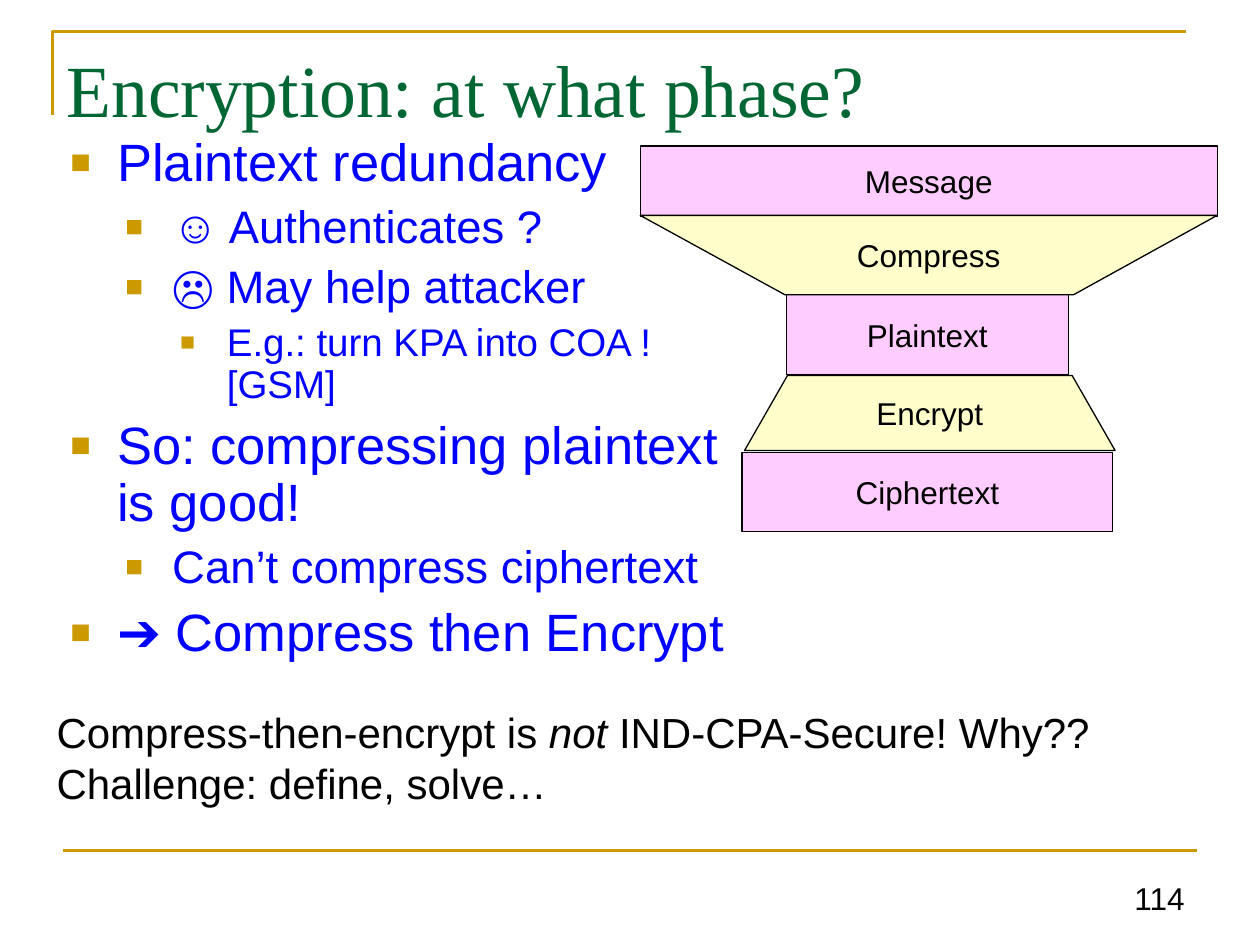
from lxml import etree
from pptx import Presentation
from pptx import util as u
from pptx.dml.color import RGBColor
from pptx.enum import shapes, text
from pptx.oxml.ns import qn

Pt = u.Pt
COLORS = {"gold": "CC9900", "green": "006633", "blue": "0000FF",
          "pink": "FFCCFF", "cream": "FFFFCC", "black": "000000"}

TITLE = "Encryption: at what phase?"
BULLETS = [  # level, text
    (0, "Plaintext redundancy"),
    (1, "☺ Authenticates ?"),
    (1, "☹ May help attacker"),
    (2, "E.g.: turn KPA into COA ! [GSM]"),
    (0, "So: compressing plaintext\nis good!"),
    (1, "Can’t compress ciphertext"),
    (0, "➔ Compress then Encrypt"),
]
LEVELS = [(30, 7.5, 26.8), (26, 6.5, 58.2), (22, 5.5, 89.5)]  # size, space before, indent
HANGING = 26.8
NOTE = [("Compress-then-encrypt is ", False), ("not", True),
        (" IND-CPA-Secure! Why??\nChallenge: define, solve…", False)]
PAGE_NUMBER = "114"
DATA_BOXES = [  # label, left, top, width, height
    ("Message", 365.8, 83.5, 329.8, 40.3),
    ("Plaintext", 449.3, 168.5, 161.3, 45.4),
    ("Ciphertext", 424.1, 258.5, 211.7, 45.4),
]
STEPS = [  # label, top, bottom, (left, right) at top, (left, right) at bottom
    ("Compress", 123.1, 168.5, (365.8, 695.5), (448.6, 613.4)),
    ("Encrypt", 214.6, 257.4, (450, 612.7), (425.5, 637.2)),
]

prs = Presentation()
prs.slide_width, prs.slide_height = Pt(720), Pt(540)
s = prs.slides.add_slide(prs.slide_layouts[6])


def rgb(name):
    return RGBColor.from_string(COLORS[name])


def add_run(p, content, size, color="black", font="Arial", italic=False):
    for i, line in enumerate(content.split("\n")):
        if i:
            p.add_line_break()
        r = p.add_run()
        r.text = line
        r.font.size, r.font.name, r.font.italic = Pt(size), font, italic
        r.font.color.rgb = rgb(color)


def add_text_box(left, top, width, height, anchor=text.MSO_ANCHOR.TOP):
    tf = s.shapes.add_textbox(*map(Pt, (left, top, width, height))).text_frame
    tf.word_wrap = True
    tf.vertical_anchor = anchor
    return tf


def add_outline(points, close):
    points = [(Pt(x), Pt(y)) for x, y in points]
    builder = s.shapes.build_freeform(*points[0])
    builder.add_line_segments(points[1:], close=close)
    sp = builder.convert_to_shape()
    sp.shadow.inherit = False
    return sp


def style_block(sp, label, fill):
    sp.shadow.inherit = False
    sp.fill.solid()
    sp.fill.fore_color.rgb = rgb(fill)
    sp.line.color.rgb = rgb("black")
    sp.line.width = Pt(0.75)
    tf = sp.text_frame
    tf.word_wrap = False
    tf.vertical_anchor = text.MSO_ANCHOR.MIDDLE
    p = tf.paragraphs[0]
    p.alignment = text.PP_ALIGN.CENTER
    add_run(p, label, 18)


def add_bullet(p, indent):
    pPr = p._p.get_or_add_pPr()
    pPr.set("marL", str(Pt(indent)))
    pPr.set("indent", str(-Pt(HANGING)))
    color = etree.SubElement(pPr, qn("a:buClr"))
    etree.SubElement(color, qn("a:srgbClr"), val=COLORS["gold"])
    etree.SubElement(pPr, qn("a:buSzPct"), val="65000")
    etree.SubElement(pPr, qn("a:buFont"), typeface="Arial")
    etree.SubElement(pPr, qn("a:buChar"), char="■")


# Gold corner and footer rule
corner = add_outline([(30, 66), (30, 18), (678, 18)], close=False)
corner.fill.background()
rule = s.shapes.add_connector(shapes.MSO_CONNECTOR.STRAIGHT,
                              Pt(36), Pt(486), Pt(684), Pt(486))
etree.SubElement(rule._element.spPr, qn("a:effectLst"))
for sp in (corner, rule):
    sp.line.color.rgb = rgb("gold")
    sp.line.width = Pt(1.5)

# Page number and title
p = add_text_box(516, 492, 168, 35.3, text.MSO_ANCHOR.BOTTOM).paragraphs[0]
p.alignment = text.PP_ALIGN.RIGHT
add_run(p, PAGE_NUMBER, 18)
p = add_text_box(31, 21.6, 653, 61.2).paragraphs[0]
add_run(p, TITLE, 42, "green", "Times New Roman")

# Bulleted list
tf = add_text_box(33.1, 74.2, 404.6, 335.5)
for i, (level, content) in enumerate(BULLETS):
    size, before, indent = LEVELS[level]
    p = tf.add_paragraph() if i else tf.paragraphs[0]
    p.level = level
    p.line_spacing = 0.9
    p.space_before = Pt(before)
    add_bullet(p, indent)
    add_run(p, content, size, "blue")

# Processing stack: data boxes and the steps between them
for label, *frame in DATA_BOXES:
    sp = s.shapes.add_shape(shapes.MSO_SHAPE.RECTANGLE, *map(Pt, frame))
    style_block(sp, label, "pink")
for label, top, bottom, (tl, tr), (bl, br) in STEPS:
    sp = add_outline([(tl, top), (tr, top), (br, bottom), (bl, bottom)], close=True)
    style_block(sp, label, "cream")

# Closing challenge
p = add_text_box(25.2, 400.3, 610.6, 65.5).paragraphs[0]
for content, italic in NOTE:
    add_run(p, content, 24, italic=italic)

prs.save("out.pptx")
